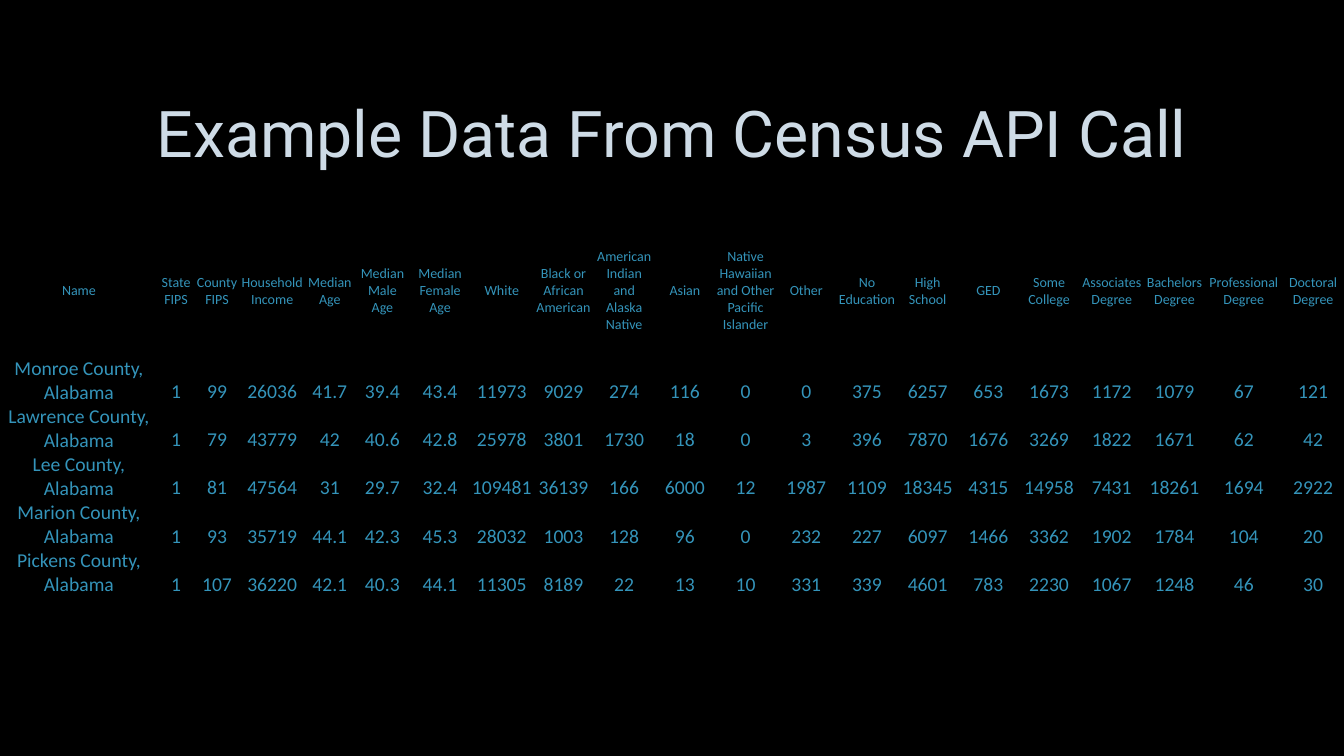
from lxml import etree
from pptx import Presentation
from pptx.dml.color import RGBColor
from pptx.enum.text import MSO_ANCHOR, PP_ALIGN
from pptx.oxml.ns import qn
from pptx.util import Inches, Pt

CENTER = PP_ALIGN.CENTER
MIDDLE = MSO_ANCHOR.MIDDLE
BOTTOM = MSO_ANCHOR.BOTTOM

NO_GRID = "{2D5ABB26-0587-4C30-8999-92F81FD0307C}"
WIDE, HIGH = 13.33, 7.5
BLACK, PALE, BLUE, GRAY = "000000", "CEDBE6", "3494BA", "404040"

FIELDS = [
    ("Name", 1.56), ("State FIPS", 0.36), ("County FIPS", 0.45),
    ("Household Income", 0.64), ("Median Age", 0.5),
    ("Median Male Age", 0.54), ("Median Female Age", 0.6),
    ("White", 0.62), ("Black or African American", 0.6),
    ("American Indian and Alaska Native", 0.6), ("Asian", 0.6),
    ("Native Hawaiian and Other Pacific Islander", 0.6), ("Other", 0.6),
    ("No Education", 0.6), ("High School", 0.6), ("GED", 0.6),
    ("Some College", 0.6), ("Associates Degree", 0.64),
    ("Bachelors Degree", 0.6), ("Professional Degree", 0.77),
    ("Doctoral Degree", 0.6),
]

COUNTIES = {
    "Monroe": "1 99 26036 41.7 39.4 43.4 11973 9029 274 116 0 0 375 "
              "6257 653 1673 1172 1079 67 121",
    "Lawrence": "1 79 43779 42 40.6 42.8 25978 3801 1730 18 0 3 396 "
                "7870 1676 3269 1822 1671 62 42",
    "Lee": "1 81 47564 31 29.7 32.4 109481 36139 166 6000 12 1987 1109 "
           "18345 4315 14958 7431 18261 1694 2922",
    "Marion": "1 93 35719 44.1 42.3 45.3 28032 1003 128 96 0 232 227 "
              "6097 1466 3362 1902 1784 104 20",
    "Pickens": "1 107 36220 42.1 40.3 44.1 11305 8189 22 13 10 331 339 "
               "4601 783 2230 1067 1248 46 30",
}


def color(code):
    """Turn a hex string into a colour."""
    return RGBColor.from_string(code)


def add_run(para, text, font, size, code):
    """Add one centred, styled run to a paragraph."""
    para.alignment = CENTER
    run = para.add_run()
    run.text = text
    run.font.name = font
    run.font.size = Pt(size)
    run.font.color.rgb = color(code)
    return run


def add_edge(run, code, width, alpha):
    """Give the letters a thin outline, with alpha in percent."""
    line = etree.Element(qn("a:ln"), w=str(Pt(width)))
    fill = etree.SubElement(line, qn("a:solidFill"))
    tint = etree.SubElement(fill, qn("a:srgbClr"), val=code)
    etree.SubElement(tint, qn("a:alpha"), val=str(alpha * 1000))
    run.font._element.insert(0, line)


def add_title(slide, text):
    """Add the slide heading."""
    box = slide.shapes.add_textbox(
        Inches(1), Inches(0.67), Inches(11.32), Inches(1.38))
    frame = box.text_frame
    frame.word_wrap = True
    frame.vertical_anchor = MIDDLE
    para = frame.paragraphs[0]
    para.line_spacing = 0.9
    add_edge(add_run(para, text, "Roboto", 46, PALE), GRAY, 0.75, 10)


def fill_cell(cell, text, size, anchor):
    """Write one clear table cell with tight margins."""
    cell.fill.background()
    cell.vertical_anchor = anchor
    cell.margin_left = cell.margin_right = cell.margin_top = Inches(0.01)
    cell.margin_bottom = 0
    add_run(cell.text_frame.paragraphs[0], text, "Calibri", size, BLUE)


def add_census(slide):
    """Add the table of counties across the whole slide width."""
    rows = [[name for name, _ in FIELDS]]
    rows += [[f"{name} County, Alabama", *data.split()]
             for name, data in COUNTIES.items()]
    shape = slide.shapes.add_table(
        len(rows), len(FIELDS), 0, Inches(2.23), Inches(WIDE), Inches(3.67))
    shape._element.xpath(".//a:tableStyleId")[0].text = NO_GRID
    table = shape.table
    table.first_row = table.horz_banding = False

    scale = WIDE / sum(width for _, width in FIELDS)
    for col, (_, width) in zip(table.columns, FIELDS):
        col.width = Inches(width * scale)
    for r, row in enumerate(rows):
        high, size, anchor = (0.34, 14, BOTTOM) if r else (1.3, 10, MIDDLE)
        table.rows[r].height = Inches(high)
        for c, text in enumerate(row):
            fill_cell(table.cell(r, c), text, size, anchor)
    shape.height = Inches(3.67)


def main():
    """Build and save the slide."""
    deck = Presentation()
    deck.slide_width, deck.slide_height = Inches(WIDE), Inches(HIGH)
    slide = deck.slides.add_slide(deck.slide_layouts[6])
    back = slide.background.fill
    back.solid()
    back.fore_color.rgb = color(BLACK)
    add_title(slide, "Example Data From Census API Call")
    add_census(slide)
    deck.save("out.pptx")


main()
